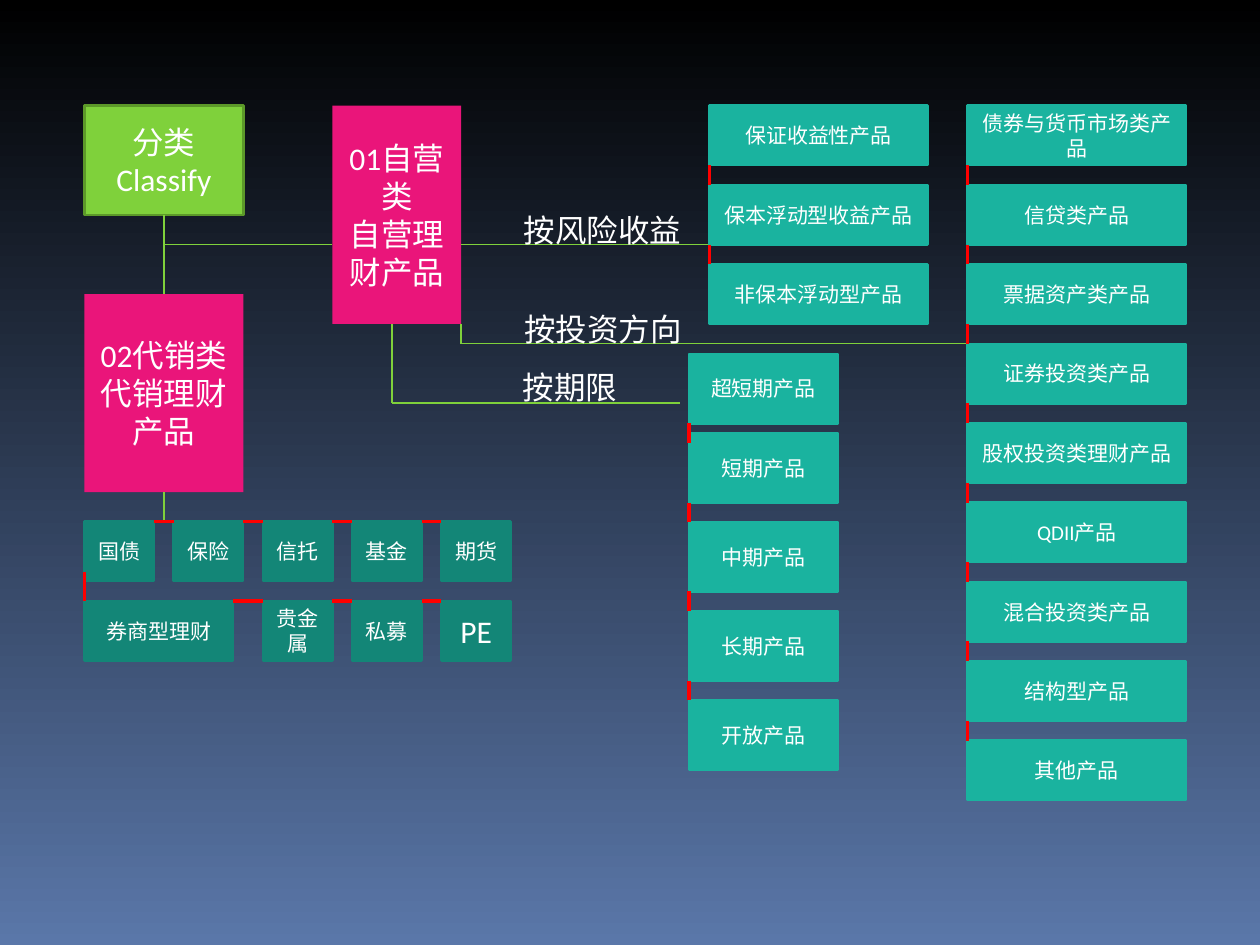
from lxml import etree
from pptx import Presentation
from pptx.dml.color import RGBColor
from pptx.enum.shapes import MSO_CONNECTOR, MSO_SHAPE
from pptx.enum.text import MSO_ANCHOR, MSO_AUTO_SIZE, PP_ALIGN
from pptx.oxml.ns import qn
from pptx.util import Pt

RECTANGLE = MSO_SHAPE.RECTANGLE
STRAIGHT = MSO_CONNECTOR.STRAIGHT
MIDDLE = MSO_ANCHOR.MIDDLE
CENTER = PP_ALIGN.CENTER
GROW = MSO_AUTO_SIZE.SHAPE_TO_FIT_TEXT

BLACK = RGBColor(0x00, 0x00, 0x00)
SLATE = RGBColor(0x5A, 0x77, 0xA9)
WHITE = RGBColor(0xFF, 0xFF, 0xFF)
GREEN = RGBColor(0x7F, 0xD1, 0x3B)
DARK_GREEN = RGBColor(0x5C, 0x99, 0x29)
PINK = RGBColor(0xEA, 0x15, 0x7A)
TEAL = RGBColor(0x1A, 0xB3, 0x9F)
DARK_TEAL = RGBColor(0x13, 0x86, 0x77)
RED = RGBColor(0xFF, 0x00, 0x00)

LEFT, TOP = 48.2, 60.4
PITCH, LINK = 45.36, 11.34
ITEM_HEIGHT = 34
WIDE, MEDIUM, NARROW = 124.7, 85, 39.7
SALES_STEP, SALES_TOP = 51, 298
RISK_LEFT, TERM_LEFT, DIRECTION_LEFT = 405.4, 393.8, 553

RISK = ["保证收益性产品", "保本浮动型收益产品", "非保本浮动型产品"]
DIRECTION = ["债券与货币市场类产品", "信贷类产品", "票据资产类产品", "证券投资类产品",
             "股权投资类理财产品", "QDII产品", "混合投资类产品", "结构型产品", "其他产品"]
TERM = ["超短期产品", "短期产品", "中期产品", "长期产品", "开放产品"]
TERM_TOPS = [202.2, 247.5, 298.2, 349.2, 400.2]
SALES_FIRST = ["国债", "保险", "信托", "基金", "期货"]
SALES_SECOND = ["券商型理财", "贵金属", "私募", "PE"]
LABELS = [
    ("按风险收益", 292.3, 116.8, 105, True),
    ("按投资方向", 292.6, 173.5, 104.4, False),
    ("按期限", 291.6, 206.6, 68.4, False),
]
BRANCHES = [
    (93.8, 139.7, 190, 139.7),
    (263.6, 139.7, RISK_LEFT, 139.7),
    (263.6, 185.1, 263.6, 196.4),
    (263.6, 196.4, DIRECTION_LEFT, 196.4),
    (224, 185.1, 224, 230.4),
    (224, 230.4, 388.4, 230.4),
    (93.8, 281.3, 93.8, SALES_TOP),
]


def add_box(page, text, left, top, width, height, fill, outline=None, size=12):
    box = page.shapes.add_shape(RECTANGLE, Pt(left), Pt(top), Pt(width), Pt(height))
    box.shadow.inherit = False
    box.fill.solid()
    box.fill.fore_color.rgb = fill
    if outline is None:
        box.line.fill.background()
    else:
        box.line.color.rgb = outline
        box.line.width = Pt(1.5)
    frame = box.text_frame
    frame.word_wrap = True
    frame.vertical_anchor = MIDDLE
    frame.text = text
    for para in frame.paragraphs:
        para.alignment = CENTER
        set_font(para, "Calibri", size)
    return box


def set_font(para, name, size):
    para.font.name = name
    para.font.size = Pt(size)
    para.font.color.rgb = WHITE


def add_line(page, x1, y1, x2, y2, color=GREEN, width=0.94):
    line = page.shapes.add_connector(STRAIGHT, Pt(x1), Pt(y1), Pt(x2), Pt(y2))
    line.line.color.rgb = color
    line.line.width = Pt(width)
    etree.SubElement(line._element.spPr, qn("a:effectLst"))
    return line


def add_column(page, names, left, tops, width, height):
    for name, top in zip(names, tops):
        add_box(page, name, left, top, width, height, TEAL, TEAL)
    for top in tops[:-1]:
        bottom = top + height
        add_line(page, left, bottom, left, bottom + LINK, RED, 2)


def add_sales_row(page, names, lefts, widths, top):
    for name, left, width in zip(names, lefts, widths):
        size = 18 if name == "PE" else 12
        add_box(page, name, left, top, width, ITEM_HEIGHT, DARK_TEAL, DARK_TEAL, size)
    for left, width, following in zip(lefts, widths, lefts[1:]):
        add_line(page, left + width, top, following, top, RED, 2)


def add_label(page, text, left, top, width, wrap):
    box = page.shapes.add_textbox(Pt(left), Pt(top), Pt(width), Pt(29))
    frame = box.text_frame
    frame.word_wrap = wrap
    frame.auto_size = GROW
    frame.text = text
    set_font(frame.paragraphs[0], "Arial", 18)


def main():
    deck = Presentation()
    deck.slide_width, deck.slide_height = Pt(720), Pt(540)
    page = deck.slides.add_slide(deck.slide_layouts[6])
    backdrop = page.background.fill
    backdrop.gradient()
    backdrop.gradient_angle = 270
    for stop, color in zip(backdrop.gradient_stops, (BLACK, SLATE)):
        stop.color.rgb = color

    root = add_box(page, "分类Classify", LEFT, TOP, 91, 62.4, GREEN, DARK_GREEN, 18)
    agency = add_box(page, "02代销类\n代销理财产品", LEFT, 168, 91, 113.3, PINK, size=18)
    add_box(page, "01自营类\n自营理财产品", 190, TOP, 73.6, 124.7, PINK, size=18)

    trunk = add_line(page, 93.7, 122.8, 93.7, 168)
    trunk.begin_connect(root, 2)
    trunk.end_connect(agency, 0)
    for branch in BRANCHES:
        add_line(page, *branch)

    for names, left in ((RISK, RISK_LEFT), (DIRECTION, DIRECTION_LEFT)):
        tops = [TOP + i * PITCH for i in range(len(names))]
        add_column(page, names, left, tops, WIDE, ITEM_HEIGHT)
    add_column(page, TERM, TERM_LEFT, TERM_TOPS, MEDIUM, NARROW)

    lefts = [LEFT + i * SALES_STEP for i in range(len(SALES_FIRST))]
    second_top = SALES_TOP + PITCH
    add_sales_row(page, SALES_FIRST, lefts, [NARROW] * 5, SALES_TOP)
    add_sales_row(page, SALES_SECOND, lefts[:1] + lefts[2:], [MEDIUM] + [NARROW] * 3, second_top)
    add_line(page, LEFT, second_top - 16.5, LEFT, second_top, RED, 2)

    for label in LABELS:
        add_label(page, *label)
    deck.save("out.pptx")


if __name__ == "__main__":
    main()
